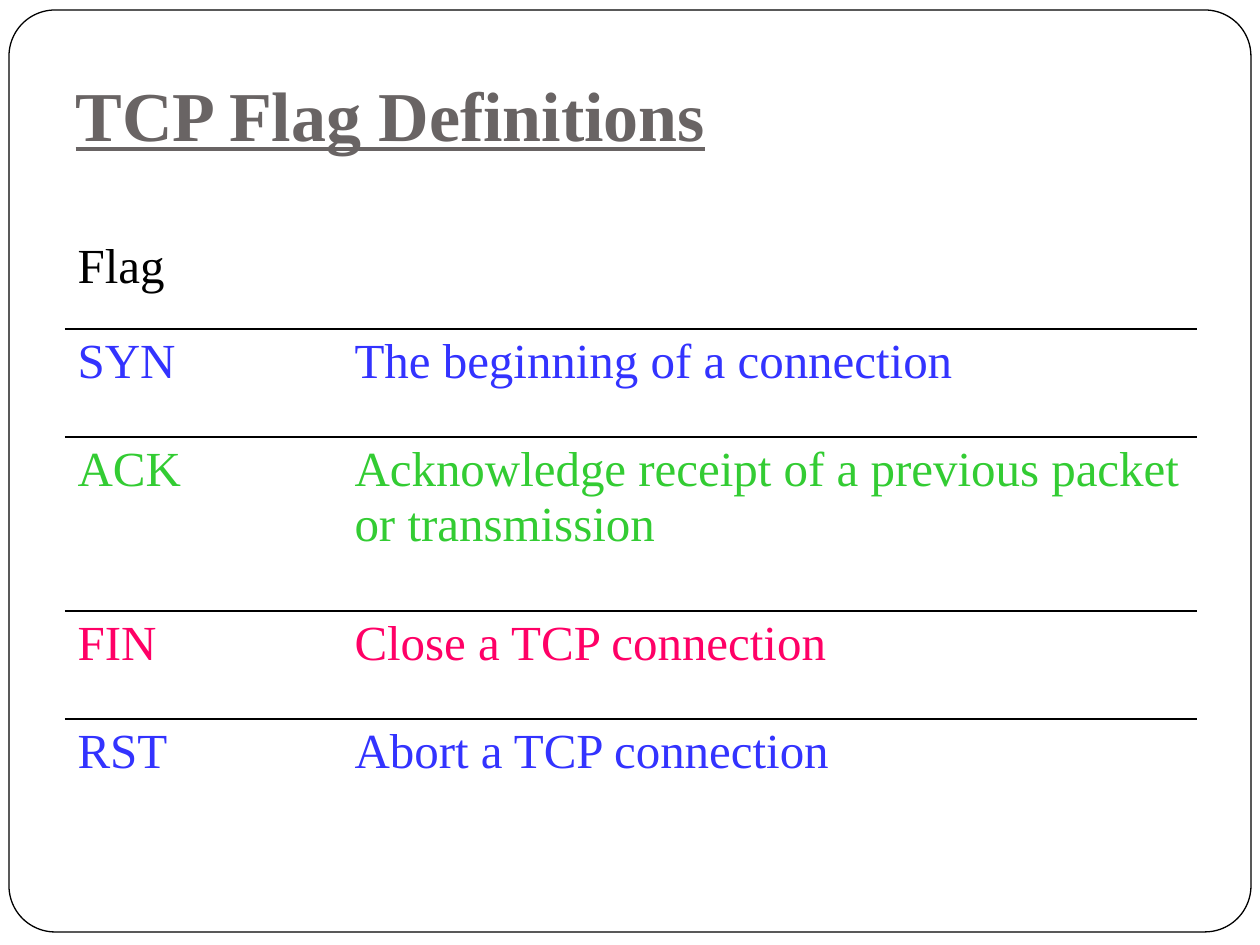
from dataclasses import dataclass

from lxml import etree
from pptx import Presentation
from pptx import util as u
from pptx.dml.color import RGBColor
from pptx.enum import shapes, text
from pptx.oxml import ns

PX = u.Inches(1) / 126
FONT = "Times New Roman"
NO_GRID_STYLE = "{2D5ABB26-0587-4C30-8999-92F81FD0307C}"

BLACK = RGBColor(0x00, 0x00, 0x00)
WHITE = RGBColor(0xFF, 0xFF, 0xFF)
GREY = RGBColor(0x69, 0x64, 0x64)
BLUE = RGBColor(0x33, 0x33, 0xFF)
GREEN = RGBColor(0x33, 0xCC, 0x33)
PINK = RGBColor(0xFF, 0x00, 0x66)


@dataclass(frozen=True)
class FlagRow:
    flag: str
    meaning: str
    color: RGBColor
    height: int


FLAG_ROWS = [
    FlagRow("Flag", "", BLACK, 95),
    FlagRow("SYN", "The beginning of a connection", BLUE, 108),
    FlagRow("ACK", "Acknowledge receipt of a previous packet or transmission", GREEN, 174),
    FlagRow("FIN", "Close a TCP connection", PINK, 108),
    FlagRow("RST", "Abort a TCP connection", BLUE, 108),
]
COLUMN_WIDTHS = [277, 855]


def px(*lengths: int) -> list[u.Emu]:
    return [u.Emu(round(length * PX)) for length in lengths]


def set_format(target, values: dict) -> None:
    for name, value in values.items():
        setattr(target, name, value)


def write(frame, wording: str, color: RGBColor, **font_values) -> None:
    paragraph = frame.paragraphs[0]
    paragraph.alignment = text.PP_ALIGN.LEFT
    run = paragraph.add_run()
    run.text = wording
    set_format(run.font, {"name": FONT, **font_values})
    run.font.color.rgb = color


def draw_frame(slide) -> None:
    frame = slide.shapes.add_shape(
        shapes.MSO_SHAPE.ROUNDED_RECTANGLE, *px(9, 10, 1242, 922))
    frame.adjustments[0] = 0.05
    frame.shadow.inherit = False
    frame.fill.solid()
    frame.fill.fore_color.rgb = WHITE
    frame.line.color.rgb = BLACK
    frame.line.width = u.Pt(0.75)
    slide.shapes._spTree.insert(2, frame._element)


def write_title(slide) -> None:
    title = slide.shapes.title
    set_format(title, dict(zip(("left", "top", "width", "height"), px(63, 10, 1134, 158))))
    set_format(title.text_frame, {
        "word_wrap": True,
        "auto_size": text.MSO_AUTO_SIZE.NONE,
        "vertical_anchor": text.MSO_ANCHOR.BOTTOM,
        "margin_left": u.Inches(0.1),
        "margin_right": u.Inches(0.1),
        "margin_top": u.Inches(0.05),
        "margin_bottom": u.Inches(0.1),
    })
    write(title.text_frame, "TCP Flag Definitions", GREY,
          size=u.Pt(40), bold=True, underline=True)


def rule_below(cell) -> None:
    border = etree.SubElement(cell._tc.get_or_add_tcPr(), ns.qn("a:lnB"), w=str(u.Pt(1)))
    fill = etree.SubElement(border, ns.qn("a:solidFill"))
    etree.SubElement(fill, ns.qn("a:srgbClr"), val=str(BLACK))


def draw_table(slide, rows: list[FlagRow]) -> None:
    size = px(sum(COLUMN_WIDTHS), sum(row.height for row in rows))
    table = slide.shapes.add_table(len(rows), len(COLUMN_WIDTHS), *px(65, 234), *size).table
    set_format(table, {"first_row": False, "horz_banding": False})
    table._tbl.tblPr.find(ns.qn("a:tableStyleId")).text = NO_GRID_STYLE
    for column, width in zip(table.columns, px(*COLUMN_WIDTHS)):
        column.width = width
    for table_row, row in zip(table.rows, rows):
        table_row.height = px(row.height)[0]
        for cell, wording in zip(table_row.cells, (row.flag, row.meaning)):
            if row is not rows[-1]:
                rule_below(cell)
            cell.fill.background()
            if wording:
                write(cell.text_frame, wording, row.color, size=u.Pt(28))


def main() -> None:
    deck = Presentation()
    deck.slide_width, deck.slide_height = px(1260, 945)
    slide = deck.slides.add_slide(deck.slide_layouts[5])
    draw_frame(slide)
    write_title(slide)
    draw_table(slide, FLAG_ROWS)
    deck.save("out.pptx")


if __name__ == "__main__":
    main()
